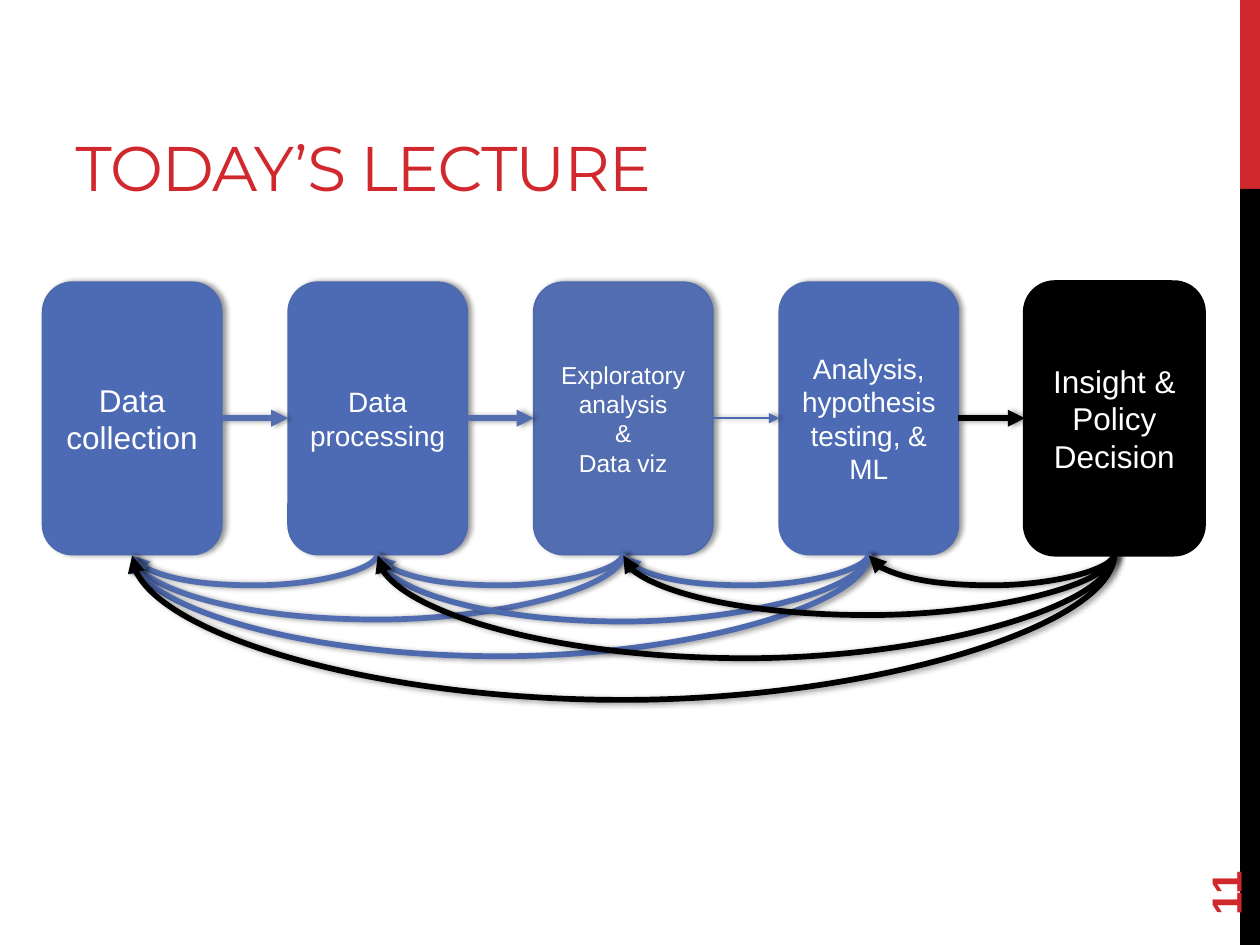
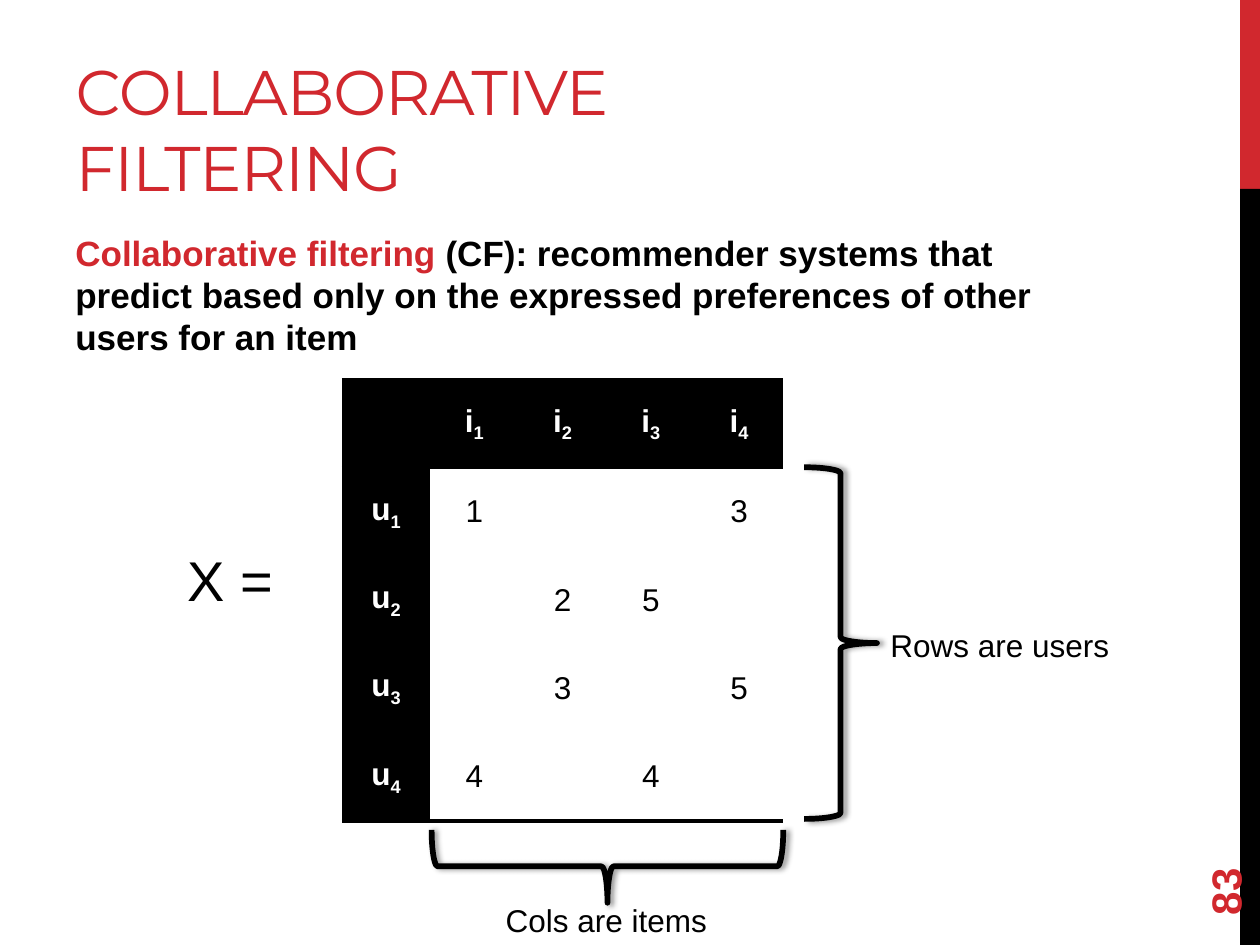
from lxml import etree
from pptx import Presentation
from pptx.dml.color import RGBColor
from pptx.enum.shapes import MSO_CONNECTOR, MSO_SHAPE
from pptx.enum.text import MSO_ANCHOR, PP_ALIGN
from pptx.oxml import parse_xml
from pptx.oxml.ns import qn
from pptx.util import Cm, Pt

RED = RGBColor(0xD1, 0x28, 0x2E)
BLACK = RGBColor(0x00, 0x00, 0x00)
WHITE = RGBColor(0xFF, 0xFF, 0xFF)
BLUE = RGBColor(0x4D, 0x6B, 0xB5)
ARROW_BLUE = RGBColor(0x52, 0x6D, 0xB0)
OUTLINE_BLUE = RGBColor(0x4E, 0x6A, 0xAE)

RECTANGLE = MSO_SHAPE.RECTANGLE
ROUNDED = MSO_SHAPE.ROUNDED_RECTANGLE
RIGHT_BRACE = MSO_SHAPE.RIGHT_BRACE
STRAIGHT, CURVE = MSO_CONNECTOR.STRAIGHT, MSO_CONNECTOR.CURVE
TOP, MIDDLE, BOTTOM = MSO_ANCHOR.TOP, MSO_ANCHOR.MIDDLE, MSO_ANCHOR.BOTTOM
LEFT, CENTER = PP_ALIGN.LEFT, PP_ALIGN.CENTER

BODY_FONT, TITLE_FONT = "Arial", "Montserrat"
DRAWING_NAMESPACE = "http://schemas.openxmlformats.org/drawingml/2006/main"
PLAIN_TABLE_STYLE = "{2D5ABB26-0587-4C30-8999-92F81FD0307C}"

# Bands at the right edge: top, height, colour
BAND_LEFT, BAND_WIDTH = 25.0, 0.4
BANDS = [(0, 3.81, RED), (3.81, 15.24, BLACK)]

# Stages: text, size, fill, outline, outline width, arrow colour, arrow width,
# depths of the loops back to the stages one, two, three ... steps before
STAGES = [
    ("Data collection", 18, BLUE, OUTLINE_BLUE, 1, None, None, []),
    ("Data processing", 16, BLUE, OUTLINE_BLUE, 1, ARROW_BLUE, 3.25, [0.64]),
    ("Exploratory analysis\n&\nData viz", 14, ARROW_BLUE, OUTLINE_BLUE, 1,
     ARROW_BLUE, 3.25, [0.64, 1.33]),
    ("Analysis, hypothesis testing, & ML", 16, BLUE, OUTLINE_BLUE, 1,
     OUTLINE_BLUE, 1, [0.64, 1.37, 2.07]),
    ("Insight & Policy Decision", 18, BLACK, BLACK, 2.25,
     BLACK, 3.25, [0.64, 1.24, 2.11, 2.95]),
]
STAGE_LEFT, STAGE_TOP, STAGE_WIDTH, STAGE_HEIGHT = 0.86, 5.69, 3.61, 5.49
STAGE_PITCH, ARROW_Y = 4.95, 8.43
LOOP_Y, LOOP_RISE = 11.18, 0.04

DEFINITION = [
    ("Collaborative filtering", RED),
    (" (CF): recommender systems that predict based only on the expressed "
     "preferences of other users for an item", BLACK),
]
RATINGS = [
    [1, None, None, 3],
    [None, 2, 5, None],
    [None, 3, None, 5],
    [4, None, 4, None],
]
TABLE_LEFT, TABLE_TOP, CELL = 6.89, 7.65, 1.78

# Labels: text, size, alignment, left, top, width, height
MATRIX_LABELS = [
    ("X = ", 32, CENTER, 3.35, 10.87, 2.9, 1.63),
    ("Rows are users", 18, LEFT, 17.7, 12.5, 4.95, 1.02),
    ("Cols are items", 18, CENTER, 9.75, 18.03, 4.95, 1.02),
]
# Braces: left, top, rotation
BRACES = [(16.21, 9.42, 0), (11.51, 13.92, 90)]
BRACE_WIDTH, BRACE_HEIGHT = 1.47, 7.09


def lengths(*values):
    return [Cm(value) for value in values]


def format_runs(paragraph, size, color, bold=False, font=BODY_FONT):
    for run in paragraph.runs:
        run.font.name = font
        run.font.size = Pt(size)
        run.font.bold = bold
        run.font.color.rgb = color


def set_shadow(shape, visible=True):
    """Replace the theme shadow by a soft one to the right, or by none."""
    properties = shape._element.spPr
    for effects in properties.findall(qn("a:effectLst")):
        properties.remove(effects)
    effects = etree.SubElement(properties, qn("a:effectLst"))
    if visible:
        effects.append(parse_xml(
            f'<a:outerShdw xmlns:a="{DRAWING_NAMESPACE}" blurRad="{Pt(3.1)}" '
            f'dist="{Pt(1.8)}" dir="0" rotWithShape="0"><a:srgbClr val="{BLACK}">'
            '<a:alpha val="40000"/></a:srgbClr></a:outerShdw>'))


def add_text(slide, text, size, color, box, bold=False, alignment=LEFT, anchor=TOP):
    shape = slide.shapes.add_textbox(*lengths(*box))
    frame = shape.text_frame
    frame.word_wrap = True
    frame.vertical_anchor = anchor
    frame.text = text
    frame.paragraphs[0].alignment = alignment
    format_runs(frame.paragraphs[0], size, color, bold)
    return shape


def add_base_slide(presentation, title_text, number):
    """Add a slide with its title, right-hand bands and turned slide number."""
    slide = presentation.slides.add_slide(presentation.slide_layouts[5])
    title = slide.shapes.title
    title.left, title.top, title.width, title.height = lengths(1.27, 0.43, 16.08, 3.81)
    frame = title.text_frame
    frame.text = title_text
    frame.word_wrap = True
    frame.vertical_anchor = BOTTOM
    paragraph = frame.paragraphs[0]
    paragraph.alignment = LEFT
    format_runs(paragraph, 36, RED, font=TITLE_FONT)
    paragraph.runs[0]._r.get_or_add_rPr().set("spc", "-60")

    for top, height, color in BANDS:
        band = slide.shapes.add_shape(
            RECTANGLE, *lengths(BAND_LEFT, top, BAND_WIDTH, height))
        band.shadow.inherit = False
        band.fill.solid()
        band.fill.fore_color.rgb = color
        band.line.fill.background()

    number_box = add_text(slide, number, 24, RED, (22.86, 16.36, 3.66, 1.02),
                          bold=True, anchor=MIDDLE)
    number_box.rotation = 270
    return slide


def add_stage(slide, left, text, size, fill, outline, outline_width):
    stage = slide.shapes.add_shape(
        ROUNDED, *lengths(left, STAGE_TOP, STAGE_WIDTH, STAGE_HEIGHT))
    stage.fill.solid()
    stage.fill.fore_color.rgb = fill
    stage.line.color.rgb = outline
    stage.line.width = Pt(outline_width)
    set_shadow(stage, visible=fill != BLACK)
    frame = stage.text_frame
    frame.word_wrap = True
    frame.vertical_anchor = MIDDLE
    frame.text = text
    for paragraph in frame.paragraphs:
        paragraph.alignment = CENTER
        format_runs(paragraph, size, WHITE)


def add_arrow(slide, kind, begin, end, color, width):
    arrow = slide.shapes.add_connector(kind, *lengths(*begin, *end))
    arrow.line.color.rgb = color
    arrow.line.width = Pt(width)
    etree.SubElement(arrow.line._get_or_add_ln(), qn("a:tailEnd"), type="triangle")
    set_shadow(arrow)
    return arrow


def add_loop(slide, right, left, depth, color, width):
    """Hang a curved arrow below the stages: an upright connector turned by 90°."""
    middle, half_span = (left + right) / 2, (right - left) / 2
    loop = add_arrow(slide, CURVE,
                     (middle - LOOP_RISE / 2, LOOP_Y - half_span),
                     (middle + LOOP_RISE / 2, LOOP_Y + half_span), color, width)
    properties = loop._element.spPr
    properties.find(qn("a:xfrm")).set("rot", "5400000")
    adjustments = properties.find(qn("a:prstGeom")).find(qn("a:avLst"))
    etree.SubElement(adjustments, qn("a:gd"), name="adj1",
                     fmla=f"val {round(depth / LOOP_RISE * 100000)}")


def build_lecture_slide(presentation):
    slide = add_base_slide(presentation, "TODAY’S LECTURE", "11")
    lefts = [STAGE_LEFT + STAGE_PITCH * index for index in range(len(STAGES))]
    centers = [left + STAGE_WIDTH / 2 for left in lefts]
    for index, stage in enumerate(STAGES):
        text, size, fill, outline, outline_width, color, width, depths = stage
        add_stage(slide, lefts[index], text, size, fill, outline, outline_width)
        if index:
            add_arrow(slide, STRAIGHT, (lefts[index - 1] + STAGE_WIDTH, ARROW_Y),
                      (lefts[index], ARROW_Y), color, width)
        for steps, depth in enumerate(depths, start=1):
            add_loop(slide, centers[index], centers[index - steps], depth, color, 3.25)


def add_cell_border(cell, side):
    border = etree.SubElement(cell._tc.get_or_add_tcPr(), qn(f"a:{side}"), w=str(Pt(2)))
    fill = etree.SubElement(border, qn("a:solidFill"))
    etree.SubElement(fill, qn("a:srgbClr"), val=str(BLACK))


def fill_cell(cell, row, column, last_row):
    is_header = row == 0 or column == 0
    if row == 0:
        add_cell_border(cell, "lnT")
    if row in (0, last_row):
        add_cell_border(cell, "lnB")
    cell.fill.solid()
    cell.fill.fore_color.rgb = BLACK if is_header else WHITE
    cell.vertical_anchor = MIDDLE

    paragraph = cell.text_frame.paragraphs[0]
    paragraph.alignment = CENTER
    if not is_header:
        rating = RATINGS[row - 1][column - 1]
        paragraph.text = "" if rating is None else str(rating)
    elif row or column:
        paragraph.text = "u" if row else "i"
        subscript = paragraph.add_run()
        subscript.text = str(row or column)
        subscript._r.get_or_add_rPr().set("baseline", "-25000")
    format_runs(paragraph, 18, WHITE if is_header else BLACK, bold=is_header)


def add_rating_table(slide):
    count = len(RATINGS) + 1
    table = slide.shapes.add_table(
        count, count, *lengths(TABLE_LEFT, TABLE_TOP, CELL * count, CELL * count)).table
    table.horz_banding = False
    table._tbl.tblPr.find(qn("a:tableStyleId")).text = PLAIN_TABLE_STYLE
    for row in range(count):
        for column in range(count):
            fill_cell(table.cell(row, column), row, column, count - 1)


def build_filtering_slide(presentation):
    slide = add_base_slide(presentation, "COLLABORATIVE FILTERING", "83")
    definition = add_text(slide, "", 20, BLACK, (1.27, 4.55, 21.16, 12.14))
    paragraph = definition.text_frame.paragraphs[0]
    paragraph.space_after = Pt(6)
    for text, _ in DEFINITION:
        paragraph.add_run().text = text
    format_runs(paragraph, 20, BLACK, bold=True)
    for run, (_, color) in zip(paragraph.runs, DEFINITION):
        run.font.color.rgb = color

    add_rating_table(slide)
    for text, size, alignment, *box in MATRIX_LABELS:
        add_text(slide, text, size, BLACK, box, alignment=alignment)
    for left, top, rotation in BRACES:
        brace = slide.shapes.add_shape(
            RIGHT_BRACE, *lengths(left, top, BRACE_WIDTH, BRACE_HEIGHT))
        brace.rotation = rotation
        brace.fill.background()
        brace.line.color.rgb = BLACK
        brace.line.width = Pt(3.25)
        set_shadow(brace)


def main():
    presentation = Presentation()
    presentation.slide_width, presentation.slide_height = lengths(25.4, 19.05)
    build_lecture_slide(presentation)
    build_filtering_slide(presentation)
    presentation.save("out.pptx")


if __name__ == "__main__":
    main()
